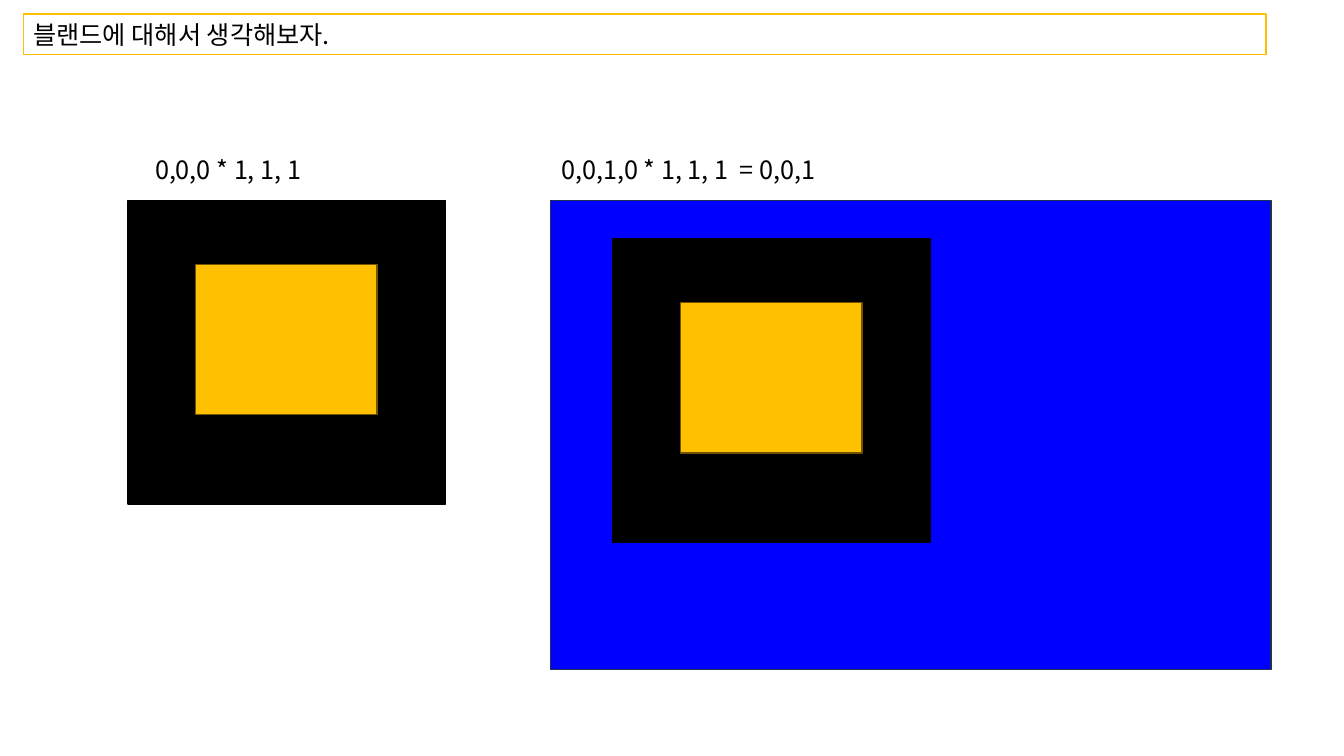
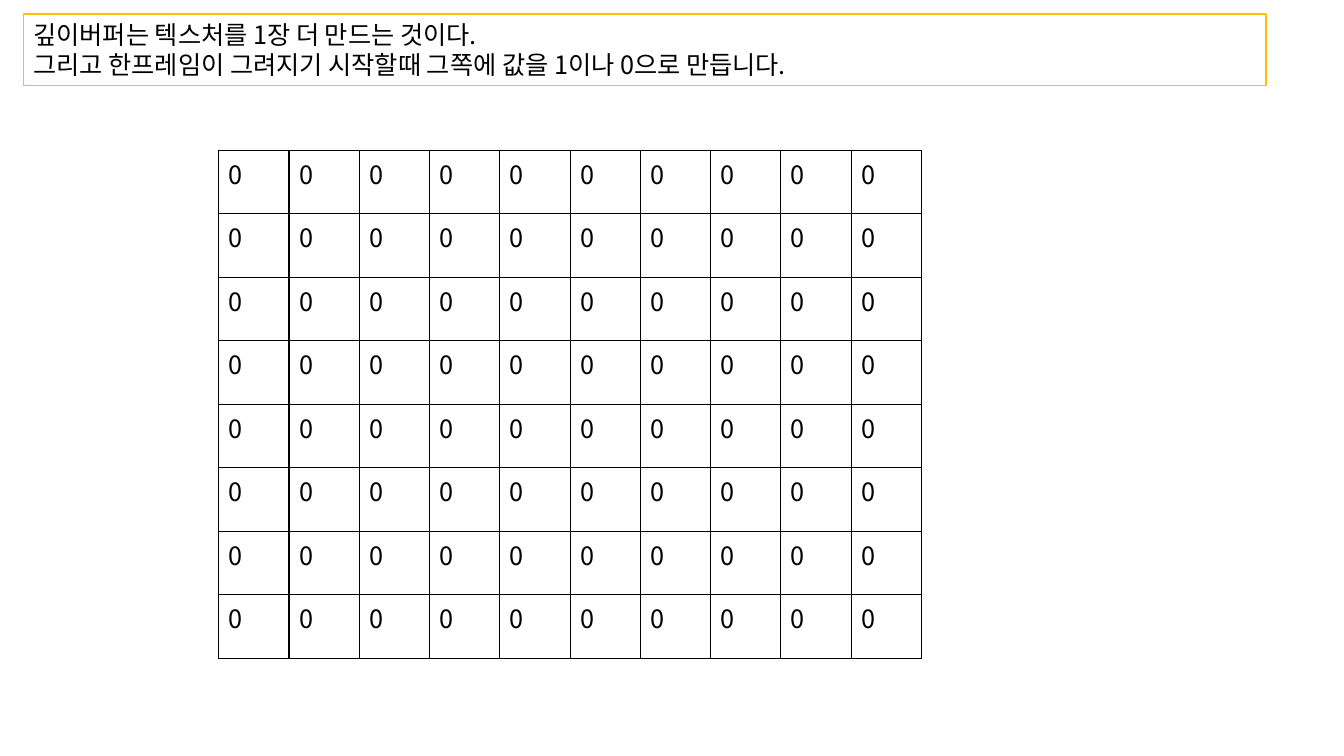
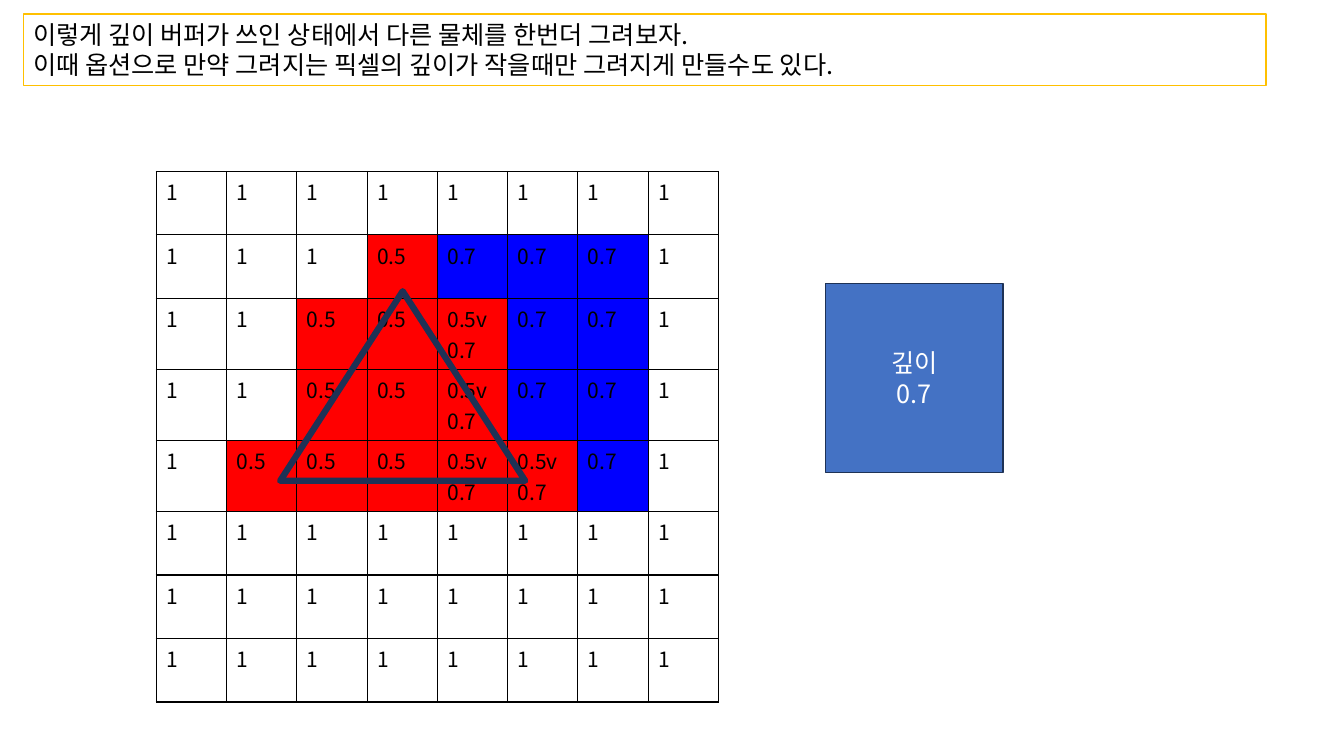
from dataclasses import dataclass

from lxml.etree import SubElement
from pptx import Presentation
from pptx.dml.color import RGBColor
from pptx.enum.shapes import MSO_SHAPE
from pptx.enum.text import MSO_ANCHOR, MSO_AUTO_SIZE, PP_ALIGN
from pptx.oxml.ns import qn
from pptx.util import Inches, Pt


@dataclass(frozen=True)
class Theme:
    font: str = "Noto Sans CJK KR"
    body_size: int = 18
    depth_size: int = 15
    thin: float = 1
    thick: float = 4.5
    black: str = "000000"
    white: str = "FFFFFF"
    gold: str = "FFC000"
    brown: str = "705400"
    red: str = "FF0000"
    blue: str = "0000FF"
    navy: str = "1E3256"
    steel: str = "4472C4"


theme = Theme()


def write(frame, lines, size, color, align=PP_ALIGN.LEFT):
    for index, line in enumerate(lines):
        para = frame.add_paragraph() if index else frame.paragraphs[0]
        para.alignment = align
        span = para.add_run()
        span.text = line
        span.font.name = theme.font
        span.font.size = Pt(size)
        span.font.color.rgb = RGBColor.from_string(color)
        SubElement(span.font._element, qn("a:ea"), typeface=theme.font)


def draw(shapes, kind, place, fill, outline, weight=theme.thin):
    left, top, width, height = place
    box = shapes.add_shape(kind, int(left * column), int(top * row),
                           int(width * column), int(height * row))
    box.shadow.inherit = False
    if fill:
        box.fill.solid()
        box.fill.fore_color.rgb = RGBColor.from_string(fill)
    else:
        box.fill.background()
    box.line.color.rgb = RGBColor.from_string(outline)
    box.line.width = Pt(weight)
    return box


deck = Presentation()
deck.slide_width = Inches(13.33)
deck.slide_height = Inches(7.5)
column = deck.slide_width / 100
row = deck.slide_height / 100
line_height = 4.04
text_padding = 1.34

titles = [
    ["블랜드에 대해서 생각해보자."],
    ["깊이버퍼는 텍스처를 1장 더 만드는 것이다.",
     "그리고 한프레임이 그려지기 시작할때 그쪽에 값을 1이나 0으로 만듭니다."],
    ["이렇게 깊이 버퍼가 쓰인 상태에서 다른 물체를 한번더 그려보자.",
     "이때 옵션으로 만약 그려지는 픽셀의 깊이가 작을때만 그려지게 만들수도 있다."],
]
pages = []
for lines in titles:
    page = deck.slides.add_slide(deck.slide_layouts[5])
    title = page.shapes.title
    title.left, title.top = int(1.73 * column), int(1.87 * row)
    title.width = int(92.48 * column)
    title.height = int((text_padding + line_height * len(lines)) * row)
    title.fill.solid()
    title.fill.fore_color.rgb = RGBColor.from_string(theme.white)
    title.line.color.rgb = RGBColor.from_string(theme.gold)
    title.line.width = Pt(theme.thin)
    title.text_frame.word_wrap = True
    title.text_frame.auto_size = MSO_AUTO_SIZE.NONE
    title.text_frame.vertical_anchor = MSO_ANCHOR.TOP
    write(title.text_frame, lines, theme.body_size, theme.black)
    pages.append(page)
blend_page, clear_page, depth_page = pages

captions = [(10.8, 12.9, "0,0,0 * 1, 1, 1"),
            (41.03, 21.68, "0,0,1,0 * 1, 1, 1  = 0,0,1")]
for left, width, caption in captions:
    box = blend_page.shapes.add_textbox(
        int(left * column), int(19.73 * row), int(width * column),
        int((text_padding + line_height) * row))
    box.text_frame.word_wrap = False
    box.text_frame.auto_size = MSO_AUTO_SIZE.SHAPE_TO_FIT_TEXT
    write(box.text_frame, [caption], theme.body_size, theme.black)

draw(blend_page.shapes, MSO_SHAPE.RECTANGLE, (40.95, 26.53, 53.63, 62),
     theme.blue, theme.navy)
for left, top in [(9.53, 26.53), (45.6, 31.6)]:
    texture = blend_page.shapes.add_group_shape()
    draw(texture.shapes, MSO_SHAPE.RECTANGLE, (left, top, 23.63, 40.13),
         theme.black, theme.black)
    draw(texture.shapes, MSO_SHAPE.RECTANGLE,
         (left + 5.03, top + 8.45, 13.5, 19.87), theme.gold, theme.brown)

cleared = [["0"] * 10] * 8
far = ["1"] * 8
depths = [
    far,
    "1 1 1 0.5 0.7 0.7 0.7 1".split(),
    "1 1 0.5 0.5 0.5v/0.7 0.7 0.7 1".split(),
    "1 1 0.5 0.5 0.5v/0.7 0.7 0.7 1".split(),
    "1 0.5 0.5 0.5 0.5v/0.7 0.5v/0.7 0.7 1".split(),
    far, far, far,
]
depth_fills = {"0.5": theme.red, "0.7": theme.blue}
buffers = [(clear_page, 16.28, 19.87, cleared, theme.body_size),
           (depth_page, 11.63, 22.67, depths, theme.depth_size)]
for page, left, top, values, size in buffers:
    cell_width = int(5.23 * column)
    heights = [int((9.4 if "/" in "".join(row_values) else 8.4) * row)
               for row_values in values]
    table = page.shapes.add_table(
        len(values), len(values[0]), int(left * column), int(top * row),
        cell_width * len(values[0]), sum(heights)).table
    table.first_row = False
    table.horz_banding = False
    for table_column in table.columns:
        table_column.width = cell_width
    for table_row, height, row_values in zip(table.rows, heights, values):
        table_row.height = height
        for cell, value in zip(table_row.cells, row_values):
            properties = cell._tc.get_or_add_tcPr()
            for side in ("a:lnL", "a:lnR", "a:lnT", "a:lnB"):
                border = SubElement(properties, qn(side), w=str(Pt(theme.thin)))
                paint = SubElement(border, qn("a:solidFill"))
                SubElement(paint, qn("a:srgbClr"), val=theme.black)
            fill = depth_fills.get(value[:3])
            if fill:
                cell.fill.solid()
                cell.fill.fore_color.rgb = RGBColor.from_string(fill)
            else:
                cell.fill.background()
            write(cell.text_frame, value.split("/"), size, theme.black)

draw(depth_page.shapes, MSO_SHAPE.ISOSCELES_TRIANGLE,
     (20.85, 38.53, 18.23, 25.07), None, theme.navy, theme.thick)
depth_box = draw(depth_page.shapes, MSO_SHAPE.RECTANGLE,
                 (61.43, 37.47, 13.2, 25.07), theme.steel, theme.navy)
depth_box.text_frame.word_wrap = True
depth_box.text_frame.vertical_anchor = MSO_ANCHOR.MIDDLE
write(depth_box.text_frame, ["깊이", "0.7"], theme.body_size, theme.white,
      PP_ALIGN.CENTER)

deck.save("out.pptx")
